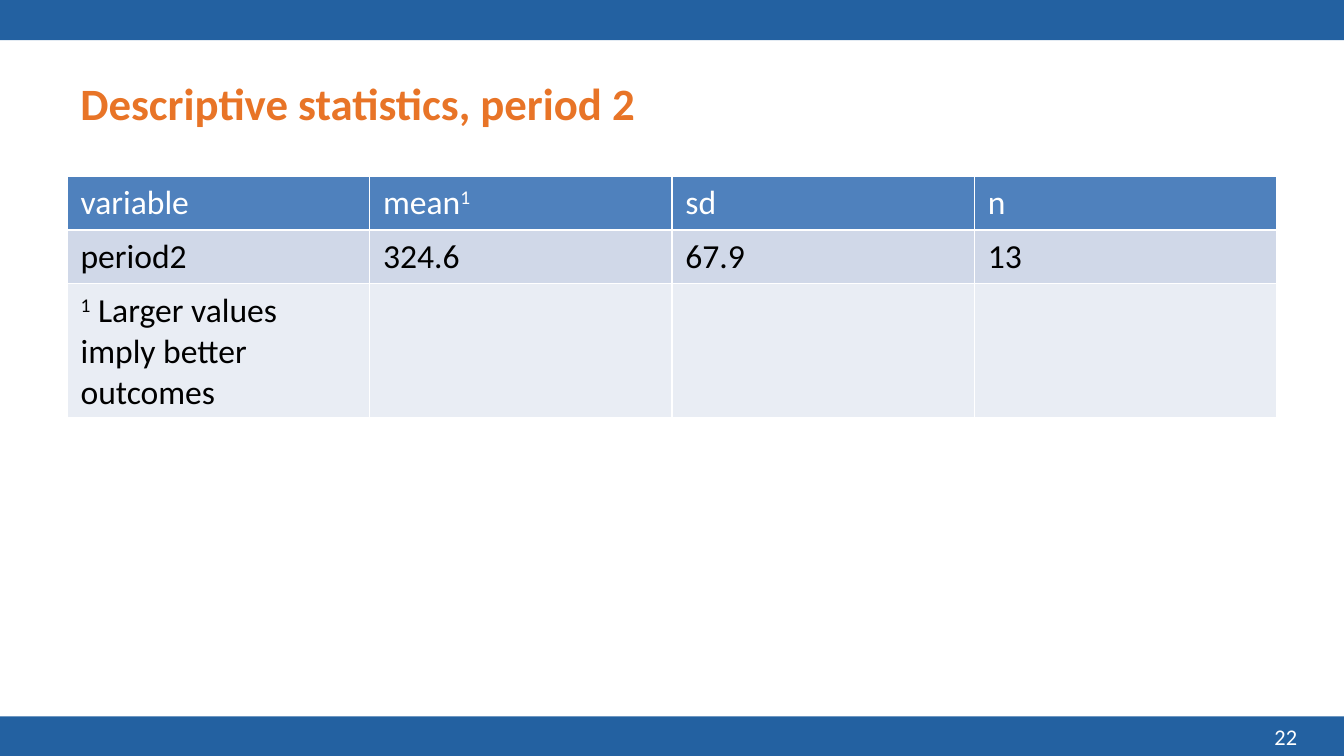
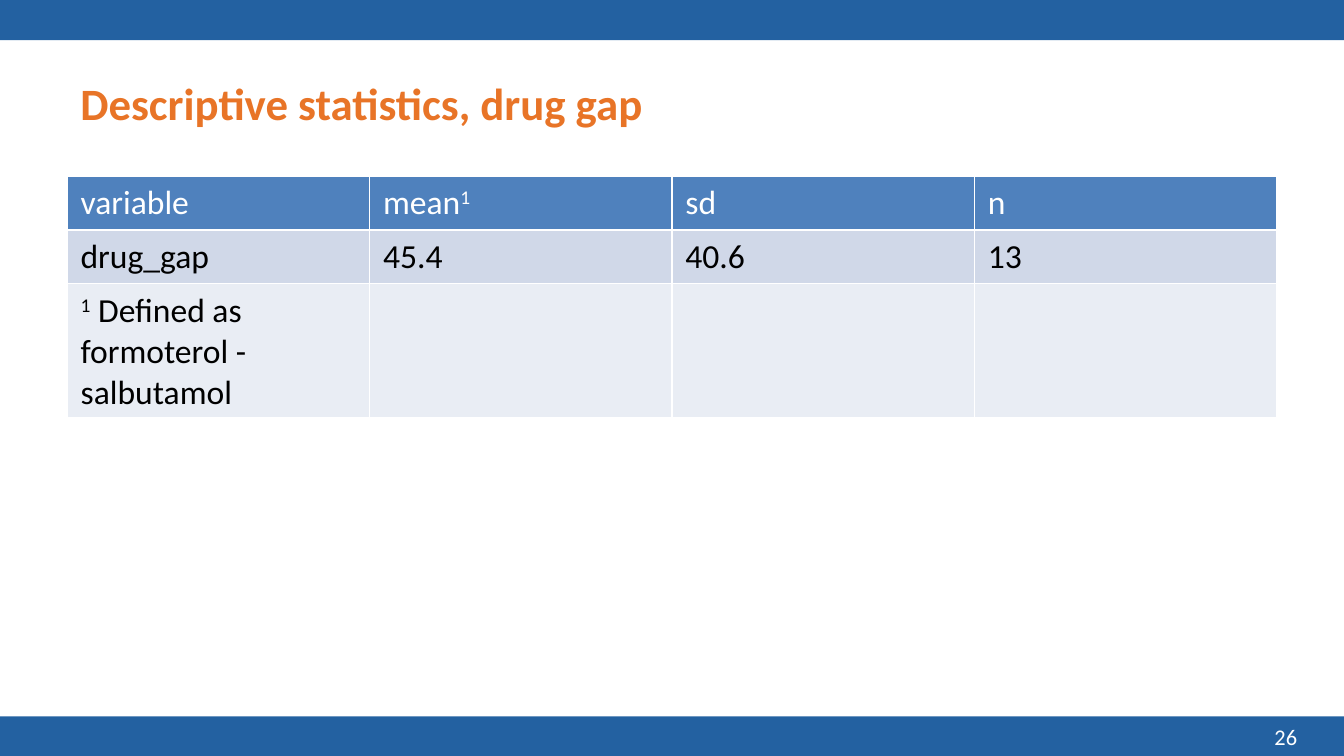
from dataclasses import dataclass

from pptx import Presentation
from pptx.dml.color import RGBColor
from pptx.enum.shapes import MSO_SHAPE as Shape
from pptx.enum.text import MSO_ANCHOR as Anchor, PP_ALIGN as Align
from pptx.slide import Slide
from pptx.table import _Cell as TableCell
from pptx.util import Inches, Length, Pt

BAND_BLUE = RGBColor(0x23, 0x61, 0xA1)
TITLE_ORANGE = RGBColor(0xE8, 0x74, 0x27)
HEADER_BLUE = RGBColor(0x4F, 0x81, 0xBD)
ROW_BLUE = RGBColor(0xD0, 0xD8, 0xE8)
NOTE_BLUE = RGBColor(0xE9, 0xED, 0xF4)
WHITE = RGBColor(0xFF, 0xFF, 0xFF)
BLACK = RGBColor(0x00, 0x00, 0x00)

FONT = "Calibri"
WIDTH = Inches(10)
HEIGHT = WIDTH * 9 // 16
MARGIN = WIDTH // 20
CONTENT_WIDTH = WIDTH - 2 * MARGIN
BAND_HEIGHT = Inches(0.3)
FOOTER_TOP = Inches(5.33)
TABLE_TOP = Inches(1.31)
TABLE_HEIGHT = Inches(1.8)


@dataclass(frozen=True)
class Span:
    text: str
    raised: bool = False


@dataclass(frozen=True)
class RowStyle:
    fill: RGBColor
    ink: RGBColor


@dataclass(frozen=True)
class Statistics:
    title: str
    values: tuple[str, ...]
    note: str
    number: int


FOOTNOTE_MARK = Span("1", raised=True)
HEADER = ((Span("variable"),), (Span("mean"), FOOTNOTE_MARK), (Span("sd"),), (Span("n"),))
ROW_STYLES = (
    RowStyle(HEADER_BLUE, WHITE),
    RowStyle(ROW_BLUE, BLACK),
    RowStyle(NOTE_BLUE, BLACK),
)
PAGES = (
    Statistics("Descriptive statistics, period 2", ("period2", "324.6", "67.9", "13"),
               " Larger values imply better outcomes", 22),
    Statistics("Descriptive statistics, drug gap", ("drug_gap", "45.4", "40.6", "13"),
               " Defined as formoterol - salbutamol", 26),
)


def add_band(page: Slide, top: Length) -> None:
    band = page.shapes.add_shape(Shape.RECTANGLE, 0, top, WIDTH, BAND_HEIGHT)
    band.shadow.inherit = False
    band.fill.solid()
    band.fill.fore_color.rgb = BAND_BLUE
    band.line.fill.background()


def add_text(page: Slide, text: str, left: Length, top: Length, width: Length,
             height: Length, size: int, ink: RGBColor, bold: bool = False,
             align: Align = Align.LEFT) -> None:
    frame = page.shapes.add_textbox(left, top, width, height).text_frame
    frame.word_wrap = True
    frame.vertical_anchor = Anchor.MIDDLE
    para = frame.paragraphs[0]
    para.text = text
    para.alignment = align
    para.font.name, para.font.size, para.font.bold = FONT, Pt(size), bold
    para.font.color.rgb = ink


def fill_cell(cell: TableCell, spans: tuple[Span, ...], style: RowStyle) -> None:
    cell.fill.solid()
    cell.fill.fore_color.rgb = style.fill
    para = cell.text_frame.paragraphs[0]
    para.font.name, para.font.size, para.font.bold = FONT, Pt(18), False
    para.font.color.rgb = style.ink
    for span in spans:
        run = para.add_run()
        run.text = span.text
        if span.raised:
            run._r.get_or_add_rPr().set("baseline", "30000")


def add_statistics_table(page: Slide, statistics: Statistics) -> None:
    values = tuple((Span(value),) for value in statistics.values)
    note = ((FOOTNOTE_MARK, Span(statistics.note)),) + ((),) * (len(HEADER) - 1)
    rows = (HEADER, values, note)
    table = page.shapes.add_table(len(rows), len(HEADER), MARGIN, TABLE_TOP,
                                  CONTENT_WIDTH, TABLE_HEIGHT).table
    for row, cells, style in zip(table.rows, rows, ROW_STYLES):
        row.height = 0
        for cell, spans in zip(row.cells, cells):
            fill_cell(cell, spans, style)


def main() -> None:
    deck = Presentation()
    deck.slide_width, deck.slide_height = WIDTH, HEIGHT
    for statistics in PAGES:
        page = deck.slides.add_slide(deck.slide_layouts[6])
        for top in (0, FOOTER_TOP):
            add_band(page, top)
        add_text(page, statistics.title, MARGIN, Inches(0.29), CONTENT_WIDTH,
                 Inches(0.94), 24, TITLE_ORANGE, bold=True)
        add_statistics_table(page, statistics)
        add_text(page, str(statistics.number), Inches(7.42), FOOTER_TOP, Inches(2.33),
                 BAND_HEIGHT, 12, WHITE, align=Align.RIGHT)
    deck.save("out.pptx")


if __name__ == "__main__":
    main()
